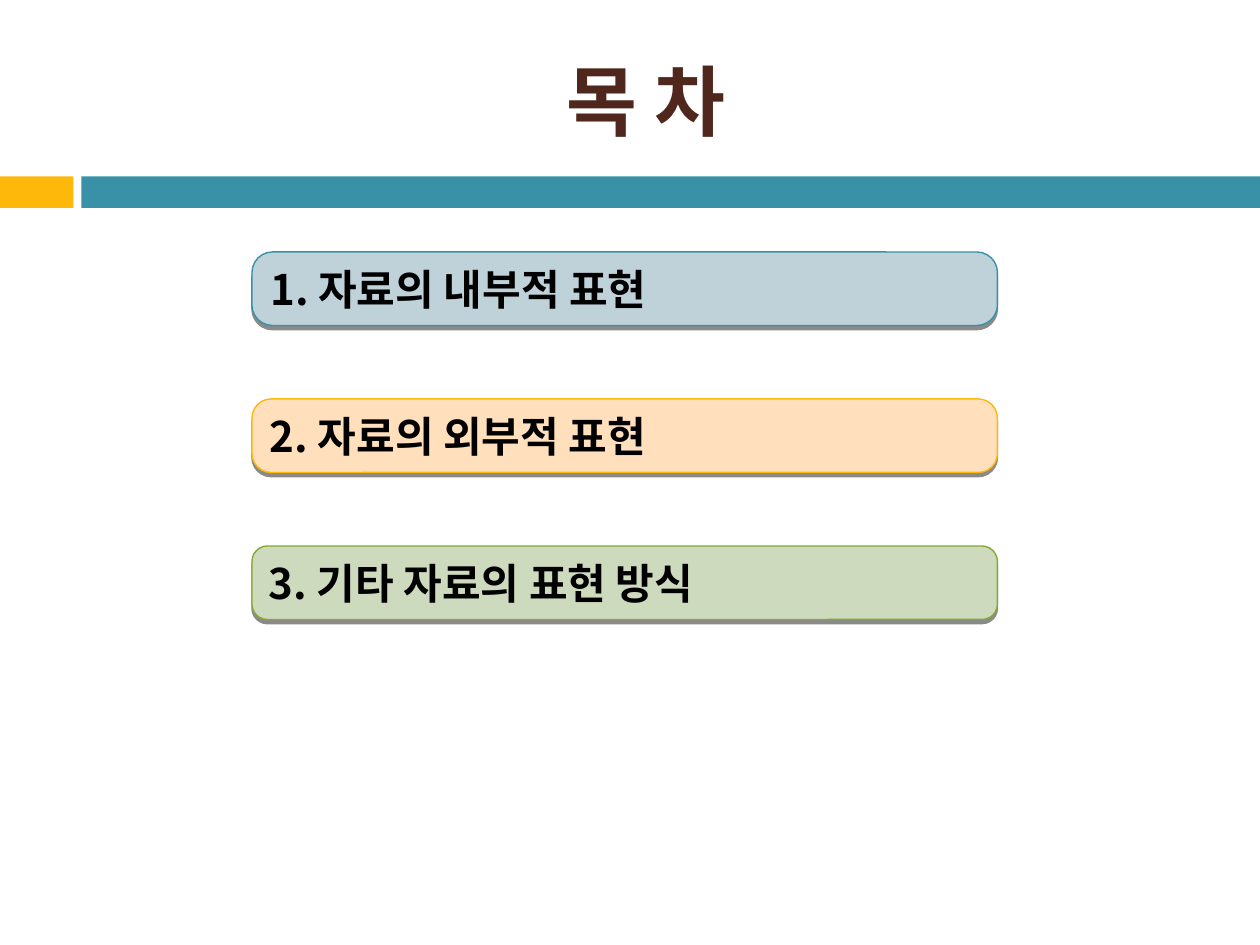
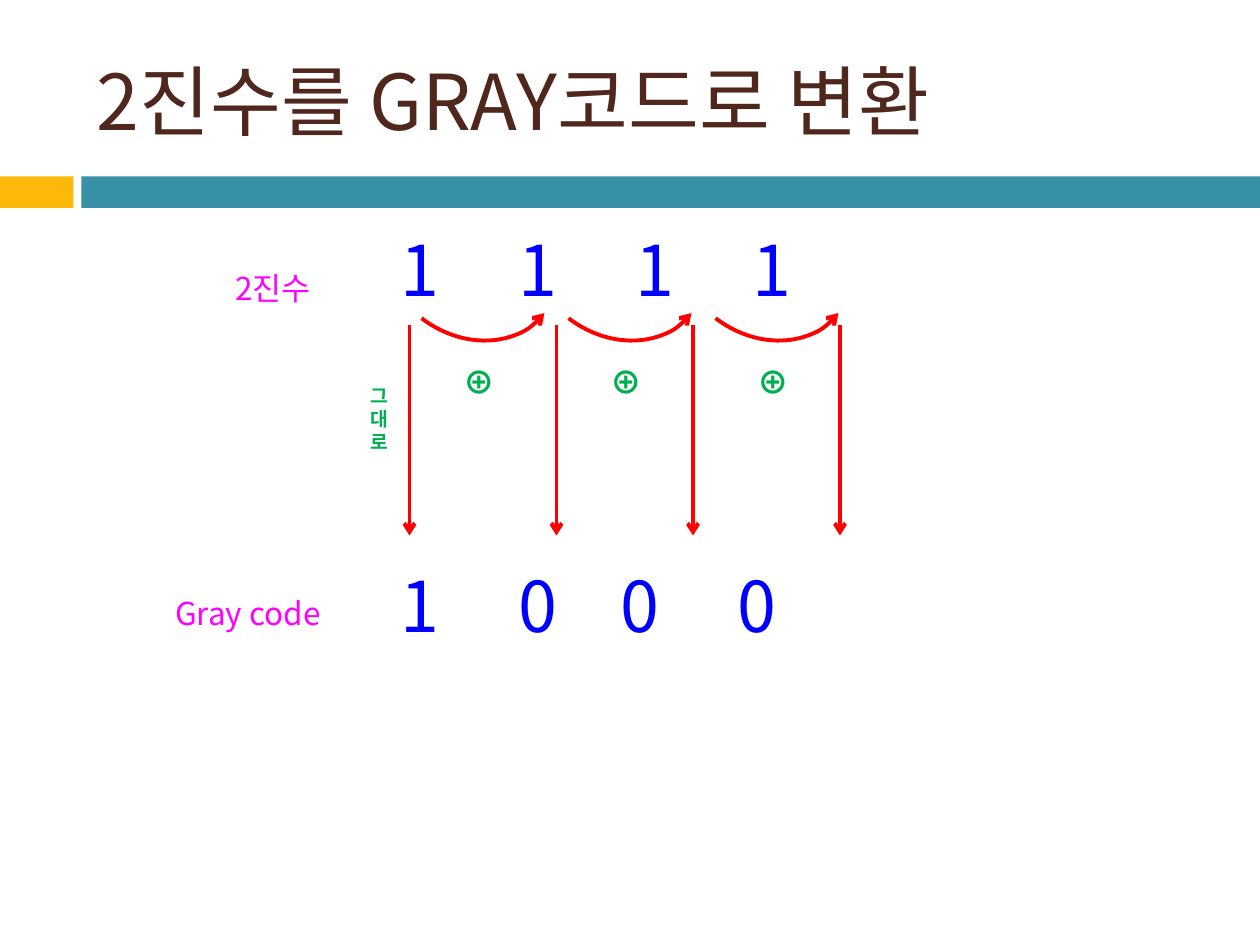
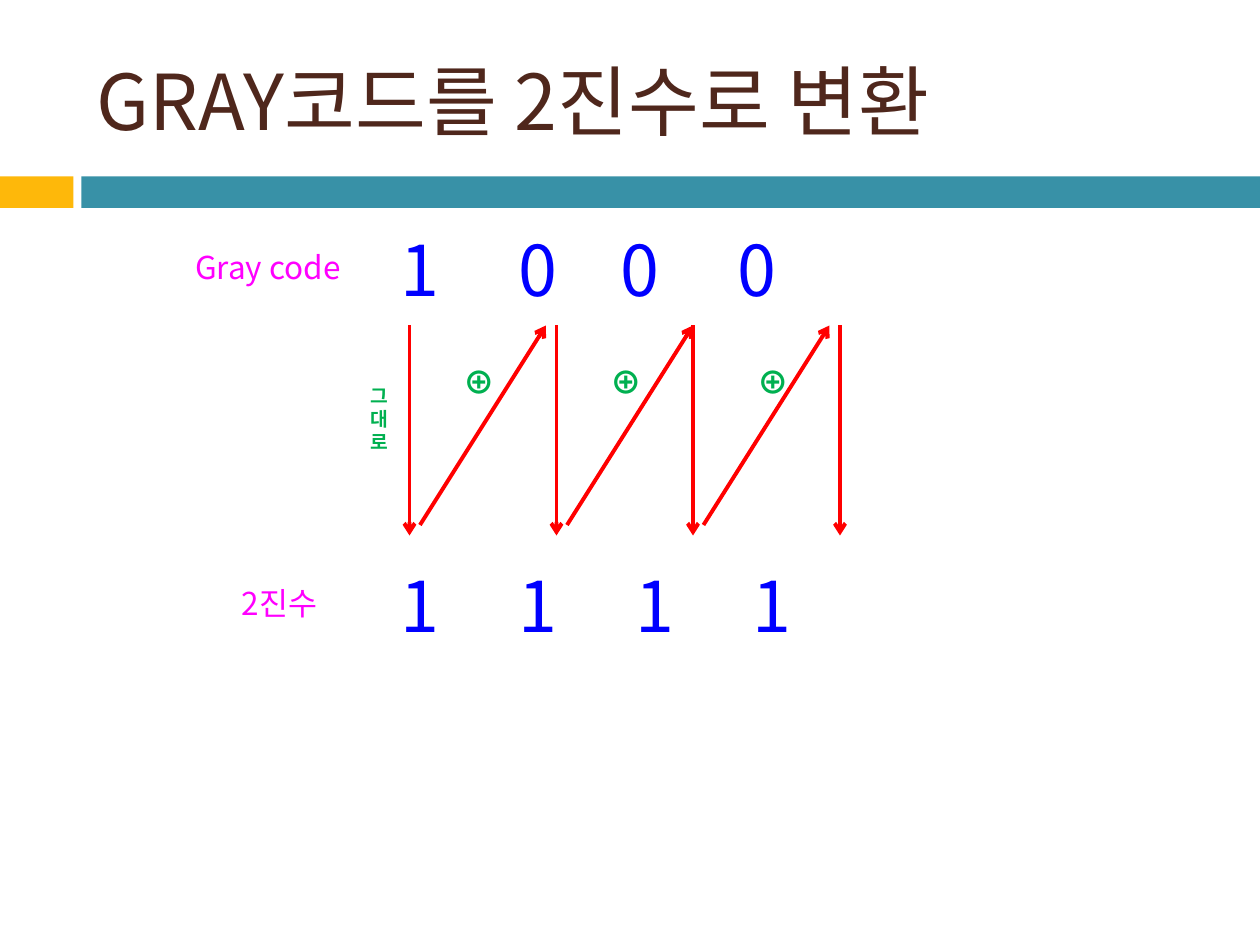
from lxml import etree
from pptx import Presentation
from pptx.dml.color import RGBColor
from pptx.enum.shapes import MSO_CONNECTOR, MSO_SHAPE
from pptx.enum.text import MSO_ANCHOR, MSO_AUTO_SIZE, PP_ALIGN
from pptx.oxml.ns import qn
from pptx.util import Inches, Pt

LEFT, CENTER = PP_ALIGN.LEFT, PP_ALIGN.CENTER
MIDDLE, TOP = MSO_ANCHOR.MIDDLE, MSO_ANCHOR.TOP
CELL = Inches(1) / 12  # the slide is a grid of 120 columns and 90 rows
FONT = "Noto Sans CJK KR"
COLORS = {
    "brown": "4F271C", "teal": "3891A7", "amber": "FEB80A", "olive": "84AA33",
    "pale teal": "BFD2D9", "pale amber": "FFDFBC", "pale olive": "CEDABE",
    "black": "000000", "magenta": "FF00FF", "blue": "0000FF",
    "green": "00B050", "red": "FF0000",
}
COLORS = {name: RGBColor.from_string(value) for name, value in COLORS.items()}
STYLES = {
    "title": {"size": Pt(44), "color": "brown", "bold": False},
    "agenda title": {"size": Pt(44), "color": "brown", "bold": True},
    "agenda": {"size": Pt(24), "color": "black", "bold": True},
    "label": {"size": Pt(18), "color": "magenta", "bold": False},
    "bits": {"size": Pt(40), "color": "blue", "bold": False},
    "note": {"size": Pt(11), "color": "green", "bold": True},
    "operator": {"size": Pt(18), "color": "green", "bold": True},
}
ARROW_COLUMNS = [39, 53, 66, 80]
ARROW_TOP, ARROW_BOTTOM = 31, 51
BINARY = {"label": "2진수", "bits": "1\t1\t1\t1", "tabs": [0.93, 1.86, 2.79]}
GRAY = {"label": "Gray code", "bits": "1\t0\t0\t0", "tabs": [0.93, 1.74, 2.67]}


def grid(*cells):
    return [round(cell * CELL) for cell in cells]


def write(shape, lines, style, align=LEFT, anchor=TOP, wrap=True, tabs=()):
    frame = shape.text_frame
    frame.text = "\n".join(lines)
    settings = {"word_wrap": wrap, "auto_size": MSO_AUTO_SIZE.NONE, "vertical_anchor": anchor}
    for name, value in settings.items():
        setattr(frame, name, value)
    for paragraph in frame.paragraphs:
        paragraph.alignment = align
        if tabs:
            tab_list = etree.SubElement(paragraph._p.get_or_add_pPr(), qn("a:tabLst"))
            for position in tabs:
                etree.SubElement(tab_list, qn("a:tab"), pos=str(Inches(position)), algn="l")
        for run in paragraph.runs:
            run.font.name = FONT
            run.font.size = STYLES[style]["size"]
            run.font.bold = STYLES[style]["bold"]
            run.font.color.rgb = COLORS[STYLES[style]["color"]]
            etree.SubElement(run.font._element, qn("a:ea"), typeface=FONT)


presentation = Presentation()
presentation.slide_width, presentation.slide_height = grid(120, 90)
layout = presentation.slide_layouts[5]

# Titles
slides = []
for title, style, align in [
    ("목 차", "agenda title", CENTER),
    ("2진수를 GRAY코드로 변환", "title", LEFT),
    ("GRAY코드를 2진수로 변환", "title", LEFT),
]:
    slide = presentation.slides.add_slide(layout)
    placeholder = slide.shapes.title
    placeholder.left, placeholder.top, placeholder.width, placeholder.height = grid(8, 3, 107, 13)
    write(placeholder, [title], style, align, MIDDLE)
    slides.append(slide)
agenda_slide, to_gray_slide, to_binary_slide = slides

# Bands, moved to the layout that all slides share
for number, (left, width, color) in enumerate([(0, 7, "amber"), (7.75, 112.25, "teal")]):
    band = agenda_slide.shapes.add_shape(MSO_SHAPE.RECTANGLE, *grid(left, 16.8, width, 3))
    band.shadow.inherit = False
    band.fill.solid()
    band.fill.fore_color.rgb = COLORS[color]
    band.line.fill.background()
    band.element.nvSpPr.cNvPr.set("id", str(100 + number))
    layout.shapes.element.insert(2 + number, band.element)

# Agenda
for row, (text, color, corner) in enumerate([
    ("1. 자료의 내부적 표현", "teal", 0.28),
    ("2. 자료의 외부적 표현", "amber", 0.26),
    ("3. 기타 자료의 표현 방식", "olive", 0.21),
]):
    item = agenda_slide.shapes.add_shape(
        MSO_SHAPE.ROUNDED_RECTANGLE, *grid(24, 24 + 14 * row, 71, 7))
    item.adjustments[0] = corner
    item.fill.solid()
    item.fill.fore_color.rgb = COLORS["pale " + color]
    item.line.color.rgb = COLORS[color]
    item.line.width = Pt(0.79)
    item.shadow.inherit = False
    shadow = etree.SubElement(
        item.element.spPr.find(qn("a:effectLst")), qn("a:outerShdw"),
        blurRad="0", dist=str(Pt(2.4)), dir="5400000", algn="ctr", rotWithShape="0")
    shadow_color = etree.SubElement(shadow, qn("a:srgbClr"), val=str(COLORS["black"]))
    etree.SubElement(shadow_color, qn("a:alpha"), val="45000")
    write(item, [text], "agenda", anchor=MIDDLE)

# Conversions
for slide, rows, label_places in [
    (to_gray_slide, [BINARY, GRAY], [(21.25, 25), (15.5, 56)]),
    (to_binary_slide, [GRAY, BINARY], [(17.4, 23), (21.85, 55)]),
]:
    shapes = slide.shapes
    for code, (left, top), bits_top in zip(rows, label_places, [21, 53]):
        label_width = 10.5 if code is BINARY else 16.8
        label = shapes.add_textbox(*grid(left, top, label_width, 4.85))
        write(label, [code["label"]], "label", wrap=False)
        bits = shapes.add_textbox(*grid(37, bits_top, 57, 9.3))
        write(bits, [code["bits"]], "bits", tabs=code["tabs"])
    note = shapes.add_textbox(*grid(34.1, 36, 4.2, 7.8))
    write(note, ["그", "대", "로"], "note", wrap=False)

    arrows = [(column, ARROW_TOP, column, ARROW_BOTTOM) for column in ARROW_COLUMNS]
    if slide is to_binary_slide:
        arrows += [(column + 1, ARROW_BOTTOM - 1, column + 13, ARROW_TOP)
                   for column in ARROW_COLUMNS[:-1]]
    pointers = [(shapes.add_connector(MSO_CONNECTOR.STRAIGHT, *grid(*arrow)), "a:tailEnd")
                for arrow in arrows]
    for step in range(3):
        operator = shapes.add_textbox(*grid(43 + 14 * step, 34, 5, 4.85))
        write(operator, ["⊕"], "operator")
        if slide is to_gray_slide:
            arc = shapes.add_shape(MSO_SHAPE.ARC, *grid(37.2 + 14 * step, 15.35, 15, 18))
            arc.rotation = 127.4
            arc.fill.background()
            pointers.append((arc, "a:headEnd"))
    for pointer, end in pointers:
        pointer.line.color.rgb = COLORS["red"]
        pointer.line.width = Pt(2.25)
        properties = pointer.element.spPr
        etree.SubElement(properties.find(qn("a:ln")), qn(end), type="arrow")
        etree.SubElement(properties, qn("a:effectLst"))

presentation.save("out.pptx")
